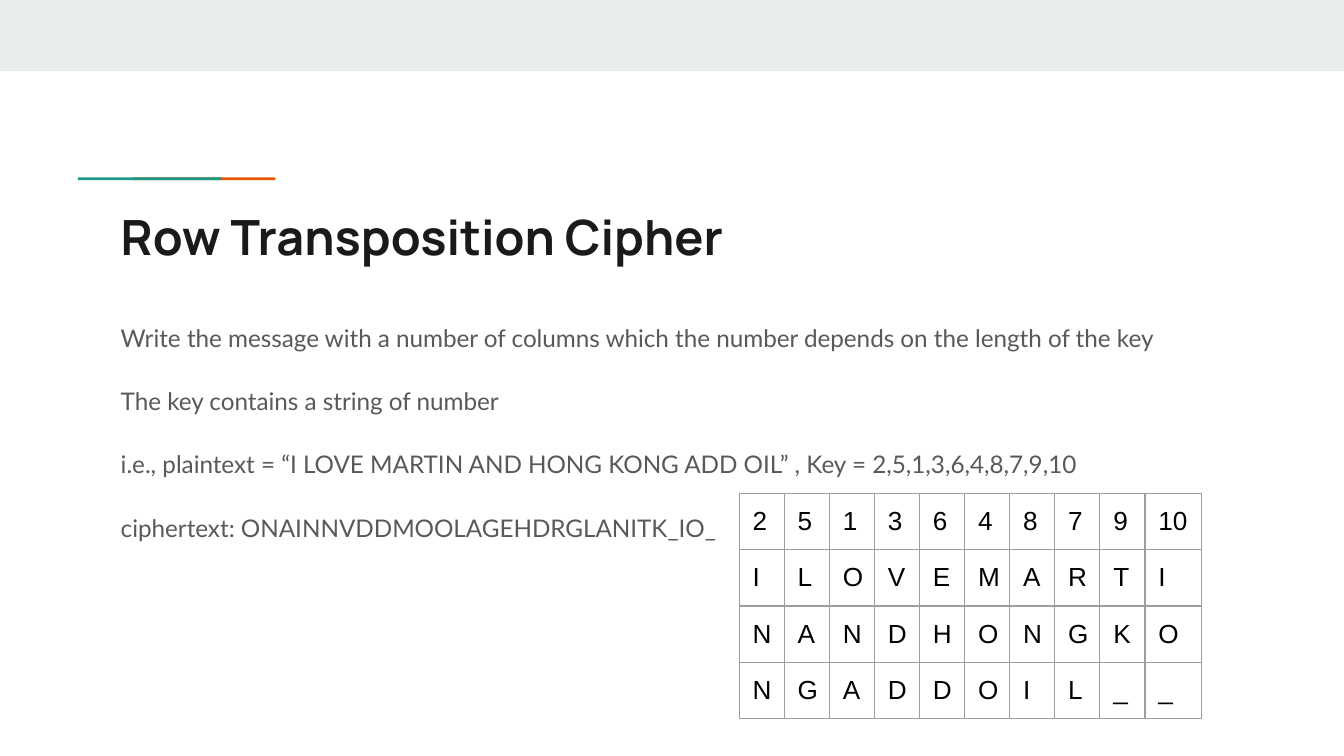
from lxml import etree
from pptx import Presentation, util as u
from pptx.dml.color import RGBColor
from pptx.enum import shapes
from pptx.oxml import ns

COLORS = {"band": "E9EDEE", "orange": "EB5600", "teal": "1A9988", "title": "1A1A1A",
          "body": "595959", "cell": "000000", "border": "9E9E9E"}


def add_run(p, content, size, font, color, bold=False):
    r = p.add_run()
    r.text = content
    r.font.size = u.Pt(size)
    r.font.name = font
    r.font.bold = bold
    r.font.color.rgb = RGBColor.from_string(COLORS[color])


def add_text_box(s, left, top, width, height):
    tf = s.shapes.add_textbox(*map(u.Inches, (left, top, width, height))).text_frame
    tf.word_wrap = True
    tf.margin_left = tf.margin_right = tf.margin_top = tf.margin_bottom = u.Inches(0.1)
    return tf


# Widescreen 16:9 slide
prs = Presentation()
prs.slide_width = u.Inches(10)
prs.slide_height = u.Inches(10 * 9 / 16)
s = prs.slides.add_slide(prs.slide_layouts[6])

# Top band and the two-colour accent line
bars = [("band", 0, 0, 10, 0.53),
        ("orange", 0.99, 1.32, 1.06, 0.02),
        ("teal", 0.58, 1.32, 1.07, 0.02)]
for color, *box in bars:
    sp = s.shapes.add_shape(shapes.MSO_SHAPE.RECTANGLE, *map(u.Inches, box))
    sp.shadow.inherit = False
    sp.fill.solid()
    sp.fill.fore_color.rgb = RGBColor.from_string(COLORS[color])
    sp.line.fill.background()

# Title
tf = add_text_box(s, 0.8, 1.44, 8.41, 0.59)
add_run(tf.paragraphs[0], "Row Transposition Cipher", 26, "Manrope", "title", bold=True)

# Body
lines = ["Write the message with a number of columns which the number depends on the length of the key",
         "The key contains a string of number",
         "i.e., plaintext = “I LOVE MARTIN AND HONG KONG ADD OIL” , Key = 2,5,1,3,6,4,8,7,9,10",
         "ciphertext: ONAINNVDDMOOLAGEHDRGLANITK_IO_"]
tf = add_text_box(s, 0.8, 2.27, 8.41, 3.19)
for i, line in enumerate(lines):
    p = tf.paragraphs[0] if i == 0 else tf.add_paragraph()
    p.line_spacing = 1.15
    p.space_before = u.Pt(16 if i else 0)
    add_run(p, line, 13, "Lato", "body")

# Cipher grid: key on top, plaintext row by row below
key = [2, 5, 1, 3, 6, 4, 8, 7, 9, 10]
rows = [key, "ILOVEMARTI", "NANDHONGKO", "NGADDOIL__"]
width, last_col, row_height = 3.44, 0.42, 0.42
table = s.shapes.add_table(len(rows), len(key), u.Inches(5.5), u.Inches(3.67),
                           u.Inches(width), u.Inches(row_height * len(rows))).table
table.first_row = table.horz_banding = False
for col in table.columns:
    col.width = u.Inches((width - last_col) / (len(key) - 1))
table.columns[len(key) - 1].width = u.Inches(last_col)

for i, row in enumerate(rows):
    table.rows[i].height = u.Inches(row_height)
    for j, value in enumerate(row):
        cell = table.cell(i, j)
        cell.margin_left = cell.margin_right = cell.margin_top = u.Inches(0.1)
        cell.margin_bottom = u.Inches(0.08)  # keeps the row at its set height
        add_run(cell.text_frame.paragraphs[0], str(value), 14, "Arial", "cell")
        tc_pr = cell._tc.get_or_add_tcPr()
        for side in ("lnL", "lnR", "lnT", "lnB"):
            ln = etree.SubElement(tc_pr, ns.qn(f"a:{side}"), w=str(u.Pt(0.75)))
            fill = etree.SubElement(ln, ns.qn("a:solidFill"))
            etree.SubElement(fill, ns.qn("a:srgbClr"), val=COLORS["border"])
        cell.fill.background()

prs.save("out.pptx")
